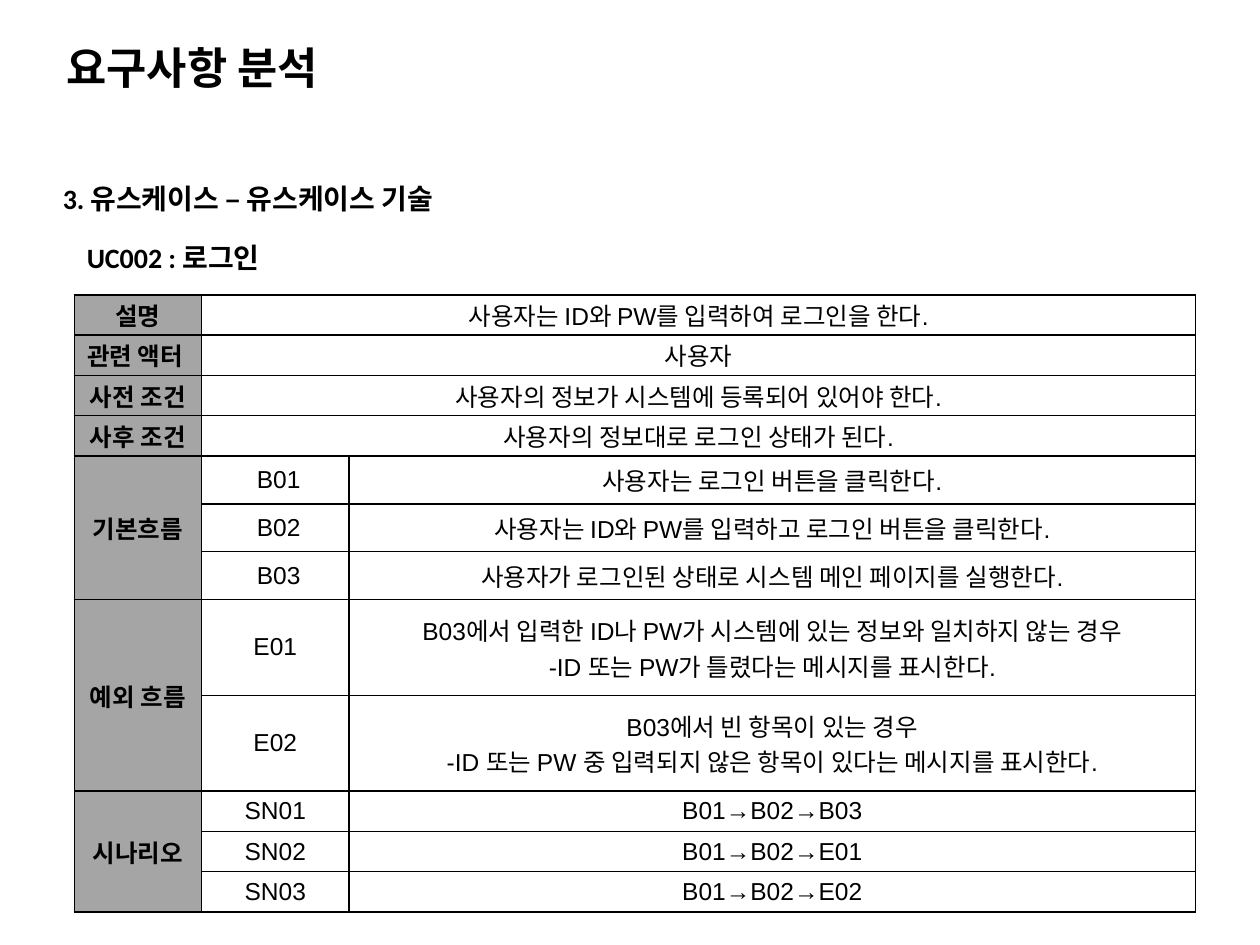
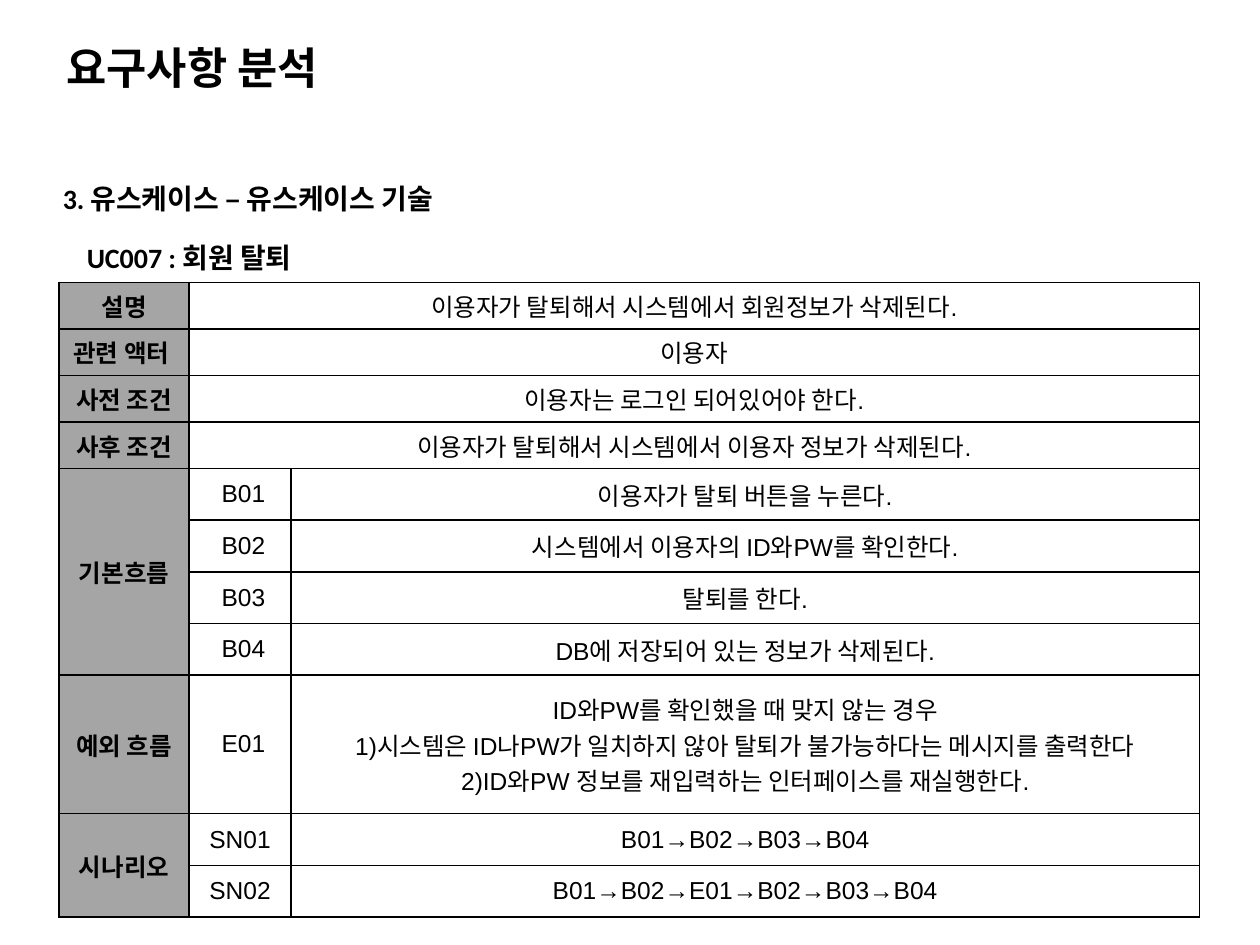
import lxml.etree
import pptx
import pptx.dml.color
import pptx.enum.text
import pptx.oxml.ns
import pptx.util

Inches = pptx.util.Inches
Pt = pptx.util.Pt
ANCHOR = pptx.enum.text.MSO_ANCHOR
ALIGN = pptx.enum.text.PP_ALIGN

BLACK, WHITE, GRAY = "000000", "FFFFFF", "A5A5A5"
TITLE = {"size": Pt(25), "name": "Calibri", "bold": True}
HEADING = {"size": Pt(16), "name": "Calibri", "bold": True}
CELL = {"size": Pt(14), "name": "Arial", "bold": False}
LABEL = {**CELL, "bold": True}
CELL_FRAME = {
    "vertical_anchor": ANCHOR.MIDDLE,
    "margin_left": Inches(0.07),
    "margin_right": Inches(0.07),
    "margin_top": 0,
    "margin_bottom": 0,
}

LOGIN = {
    "name": "UC002 : 로그인",
    "box": (0.59, 2.34),
    "cols": (1.01, 1.17, 6.72),
    "summary_height": 0.32,
    "summary": [
        ("설명", "사용자는 ID와 PW를 입력하여 로그인을 한다."),
        ("관련 액터 ", "사용자"),
        ("사전 조건", "사용자의 정보가 시스템에 등록되어 있어야 한다."),
        ("사후 조건", "사용자의 정보대로 로그인 상태가 된다."),
    ],
    "flows": [
        ("기본흐름", 0.38, [
            (" B01", "사용자는 로그인 버튼을 클릭한다."),
            (" B02", "사용자는 ID와 PW를 입력하고 로그인 버튼을 클릭한다."),
            (" B03", "사용자가 로그인된 상태로 시스템 메인 페이지를 실행한다."),
        ]),
        ("예외 흐름", 0.76, [
            ("E01", "B03에서 입력한 ID나 PW가 시스템에 있는 정보와 일치하지 않는 경우\n"
                    "-ID 또는 PW가 틀렸다는 메시지를 표시한다."),
            ("E02", "B03에서 빈 항목이 있는 경우\n"
                    "-ID 또는 PW 중 입력되지 않은 항목이 있다는 메시지를 표시한다."),
        ]),
        ("시나리오", 0.32, [
            ("SN01", "B01→B02→B03"),
            ("SN02", "B01→B02→E01"),
            ("SN03", "B01→B02→E02"),
        ]),
    ],
}

WITHDRAWAL = {
    "name": "UC007 : 회원 탈퇴",
    "box": (0.47, 2.24),
    "cols": (1.03, 0.81, 7.21),
    "summary_height": 0.37,
    "summary": [
        ("설명", "이용자가 탈퇴해서 시스템에서 회원정보가 삭제된다."),
        ("관련 액터 ", "이용자"),
        ("사전 조건", "이용자는 로그인 되어있어야 한다."),
        ("사후 조건", "이용자가 탈퇴해서 시스템에서 이용자 정보가 삭제된다."),
    ],
    "flows": [
        ("기본흐름", 0.41, [
            (" B01", "이용자가 탈퇴 버튼을 누른다."),
            (" B02", "시스템에서 이용자의 ID와PW를 확인한다."),
            (" B03", "탈퇴를 한다."),
            (" B04", "DB에 저장되어 있는 정보가 삭제된다."),
        ]),
        ("예외 흐름", 1.1, [
            (" E01", "ID와PW를 확인했을 때 맞지 않는 경우\n"
                     "1)시스템은 ID나PW가 일치하지 않아 탈퇴가 불가능하다는 메시지를 출력한다\n"
                     "2)ID와PW 정보를 재입력하는 인터페이스를 재실행한다."),
        ]),
        ("시나리오", 0.41, [
            ("SN01", "B01→B02→B03→B04"),
            ("SN02", "B01→B02→E01→B02→B03→B04"),
        ]),
    ],
}


def rgb(value):
    return pptx.dml.color.RGBColor.from_string(value)


def set_all(target, values):
    for key, value in values.items():
        setattr(target, key, value)


def write(tf, text, font, align=ALIGN.LEFT):
    for i, line in enumerate(text.split("\n")):
        p = tf.add_paragraph() if i else tf.paragraphs[0]
        p.alignment = align
        r = p.add_run()
        r.text = line
        set_all(r.font, font)
        r.font.color.rgb = rgb(BLACK)


def add_text(s, box, text, font, anchor=ANCHOR.TOP):
    tf = s.shapes.add_textbox(*map(Inches, box)).text_frame
    set_all(tf, {"word_wrap": True, "vertical_anchor": anchor})
    write(tf, text, font)
    return tf


def add_headings(s, name):
    add_text(s, (0.43, 0.1, 8.74, 0.87), "요구사항 분석", TITLE, ANCHOR.MIDDLE)
    tf = add_text(s, (0.4, 1.39, 8.76, 0.63), "3. 유스케이스 – 유스케이스 기술", HEADING)
    pPr = tf.paragraphs[0]._p.get_or_add_pPr()
    pPr.set("marL", str(Inches(0.38)))
    pPr.set("indent", str(-Inches(0.38)))
    add_text(s, (0.59, 1.86, 2.52, 0.37), name, HEADING)


def style_cell(cell, fill):
    qn = pptx.oxml.ns.qn
    tcPr = cell._tc.get_or_add_tcPr()
    for side in ("a:lnL", "a:lnR", "a:lnT", "a:lnB"):
        ln = lxml.etree.SubElement(tcPr, qn(side), w=str(Pt(1)))
        solid = lxml.etree.SubElement(ln, qn("a:solidFill"))
        lxml.etree.SubElement(solid, qn("a:srgbClr"), val=BLACK)
    cell.fill.solid()
    cell.fill.fore_color.rgb = rgb(fill)
    set_all(cell, CELL_FRAME)


def add_use_case_table(s, case):
    heights = [case["summary_height"]] * len(case["summary"])
    for label, height, steps in case["flows"]:
        heights += [height] * len(steps)
    cols = case["cols"]
    box = (*case["box"], sum(cols), sum(heights))
    table = s.shapes.add_table(len(heights), len(cols), *map(Inches, box)).table
    for col, width in zip(table.columns, cols):
        col.width = Inches(width)
    for row, height in zip(table.rows, heights):
        row.height = Inches(height)
        for i, cell in enumerate(row.cells):
            style_cell(cell, WHITE if i else GRAY)

    def fill_cell(row, col, text, font=CELL):
        write(table.cell(row, col).text_frame, text, font, ALIGN.CENTER)

    for row, (label, text) in enumerate(case["summary"]):
        table.cell(row, 1).merge(table.cell(row, 2))
        fill_cell(row, 0, label, LABEL)
        fill_cell(row, 1, text)
    top = len(case["summary"])
    for label, height, steps in case["flows"]:
        if len(steps) > 1:
            table.cell(top, 0).merge(table.cell(top + len(steps) - 1, 0))
        fill_cell(top, 0, label, LABEL)
        for row, (code, text) in enumerate(steps, top):
            fill_cell(row, 1, code)
            fill_cell(row, 2, text)
        top += len(steps)


def main():
    prs = pptx.Presentation()
    set_all(prs, {"slide_width": Inches(10), "slide_height": Inches(7.5)})
    for case in (LOGIN, WITHDRAWAL):
        s = prs.slides.add_slide(prs.slide_layouts[6])
        add_headings(s, case["name"])
        add_use_case_table(s, case)
    prs.save("out.pptx")


if __name__ == "__main__":
    main()
